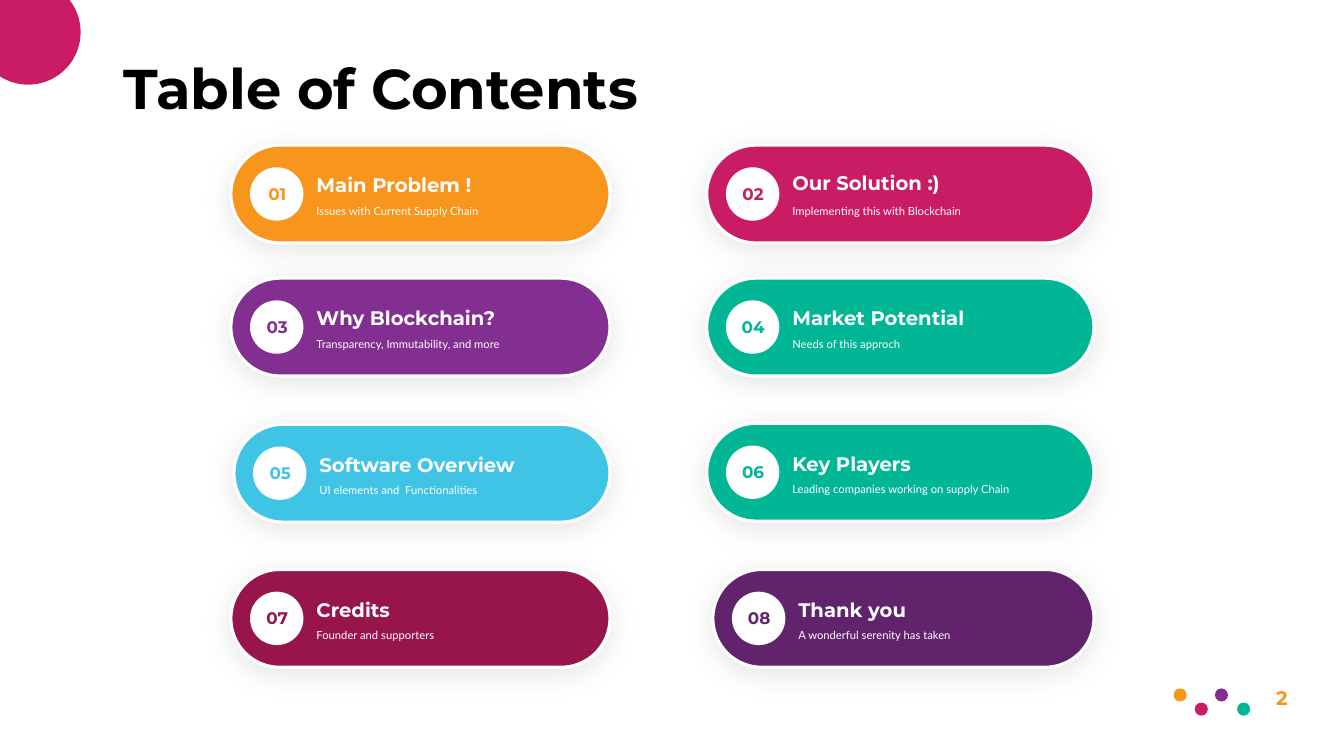
"""Build the table of contents slide with eight numbered cards."""
import dataclasses
import math

import lxml.etree
import pptx
import pptx.dml.color
import pptx.enum.shapes
import pptx.enum.text
import pptx.oxml.ns
import pptx.util

SCALE = 9144
HUES = {
    "white": "FFFFFF", "black": "000000", "orange": "F7951D", "pink": "CA1C65",
    "purple": "832F91", "green": "00B695", "blue": "40C4E5", "wine": "98154C",
    "plum": "62236D",
}
KINDS = pptx.enum.shapes.MSO_SHAPE
ALIGN = pptx.enum.text.PP_ALIGN
HEAD, BODY = "Montserrat", "Lato"
RIGHT, HIGH = 1085, 97


@dataclasses.dataclass(frozen=True)
class Card:
    left: int
    top: int
    end: int
    hue: str
    head: str
    note: str
    lift: int = 0


@dataclasses.dataclass(frozen=True)
class Dot:
    left: int
    top: int
    hue: str


CARDS = [
    Card(229, 144, 605, "orange", "Main Problem !", "Issues with Current Supply Chain"),
    Card(701, 144, RIGHT, "pink", "Our Solution :)", "Implementing this with Blockchain", 2),
    Card(229, 276, 605, "purple", "Why Blockchain?", "Transparency, Immutability, and more"),
    Card(701, 276, RIGHT, "green", "Market Potential", "Needs of this approch"),
    Card(232, 421, 605, "blue", "Software Overview", "UI elements and  Functionalities"),
    Card(701, 420, RIGHT, "green", "Key Players", "Leading companies working on supply Chain"),
    Card(229, 565, 605, "wine", "Credits", "Founder and supporters"),
    Card(707, 565, RIGHT, "plum", "Thank you", "A wonderful serenity has taken"),
]
DOTS = [
    Dot(1164, 683, "orange"), Dot(1185, 697, "pink"),
    Dot(1205, 683, "purple"), Dot(1227, 697, "green"),
]


def px(size: float) -> pptx.util.Emu:
    return pptx.util.Emu(round(size * SCALE))


def tint(hue: str) -> pptx.dml.color.RGBColor:
    return pptx.dml.color.RGBColor.from_string(HUES[hue])


def paint(shape, hue: str) -> None:
    shape.shadow.inherit = False
    shape.fill.solid()
    shape.fill.fore_color.rgb = tint(hue)
    shape.line.fill.background()


def draw(shapes, kind, left: int, top: int, wide: int, high: int, hue: str):
    shape = shapes.add_shape(kind, px(left), px(top), px(wide), px(high))
    paint(shape, hue)
    return shape


def shade(shape) -> None:
    name = pptx.oxml.ns.qn
    effects = shape._element.spPr.find(name("a:effectLst"))
    outer = lxml.etree.SubElement(
        effects, name("a:outerShdw"), blurRad=str(pptx.util.Pt(21)),
        dist=str(pptx.util.Pt(4)), dir="5400000", algn="t", rotWithShape="0")
    color = lxml.etree.SubElement(outer, name("a:srgbClr"), val=HUES["black"])
    lxml.etree.SubElement(color, name("a:alpha"), val="10000")


def add_run(para, text: str, size: int, font: str, hue: str) -> None:
    run = para.add_run()
    run.text = text
    run.font.size = pptx.util.Pt(size)
    run.font.name = font
    run.font.bold = font == HEAD
    run.font.color.rgb = tint(hue)


def write(shapes, left: int, top: int, wide: int, high: int, text: str, size: int,
          hue: str, font: str = HEAD, align=ALIGN.LEFT, space: float = 1.0) -> None:
    box = shapes.add_textbox(px(left), px(top), px(wide), px(high))
    frame = box.text_frame
    frame.word_wrap = True
    frame.auto_size = pptx.enum.text.MSO_AUTO_SIZE.SHAPE_TO_FIT_TEXT
    para = frame.paragraphs[0]
    para.alignment = align
    para.line_spacing = space
    add_run(para, text, size, font, hue)


def add_card(shapes, card: Card, count: int) -> None:
    left, top = card.left, card.top
    pill = draw(shapes, KINDS.ROUNDED_RECTANGLE, left, top, card.end - left, HIGH, card.hue)
    pill.adjustments[0] = 0.5
    pill.line.color.rgb = tint("white")
    pill.line.width = pptx.util.Pt(2.25)
    shade(pill)
    draw(shapes, KINDS.OVAL, left + 19, top + 22, 53, 53, "white")
    write(shapes, left + 23, top + 33, 46, 30, f"{count:02}", 12, card.hue, align=ALIGN.CENTER)
    write(shapes, left + 75, top + 47, 245, 28, card.note, 8, "white", BODY, space=1.5)
    write(shapes, left + 75, top + 23 - card.lift, 223, 34, card.head, 14, "white")


def add_corner(shapes) -> None:
    mid, low, reach, steps = 28, 32, 52, 60
    first, last = -math.asin(low / reach), math.acos(-mid / reach)
    turns = [first + (last - first) * step / steps for step in range(steps + 1)]
    arc = [(px(mid + reach * math.cos(turn)), px(low + reach * math.sin(turn)))
           for turn in turns]
    pen = shapes.build_freeform(0, 0, scale=1.0)
    pen.add_line_segments(arc, close=True)
    paint(pen.convert_to_shape(), "pink")


def add_title(slide) -> None:
    title = slide.shapes.title
    title.left, title.top, title.width, title.height = map(px, (112, 47, 692, 78))
    frame = title.text_frame
    frame.word_wrap = True
    frame.auto_size = pptx.enum.text.MSO_AUTO_SIZE.NONE
    frame.vertical_anchor = pptx.enum.text.MSO_ANCHOR.MIDDLE
    para = frame.paragraphs[0]
    para.alignment = ALIGN.LEFT
    para.space_before = pptx.util.Pt(10)
    add_run(para, "Table of Contents", 40, HEAD, "black")


def main() -> None:
    deck = pptx.Presentation()
    deck.slide_width, deck.slide_height = px(1333), px(750)
    slide = deck.slides.add_slide(deck.slide_layouts[5])
    shapes = slide.shapes
    add_title(slide)
    add_corner(shapes)
    for count, card in enumerate(CARDS, 1):
        add_card(shapes, card, count)
    group = shapes.add_group_shape()
    for dot in DOTS:
        draw(group.shapes, KINDS.OVAL, dot.left, dot.top, 13, 13, dot.hue)
    write(shapes, 1245, 676, 53, 34, "2", 14, "orange", align=ALIGN.CENTER)
    deck.save("out.pptx")


if __name__ == "__main__":
    main()
